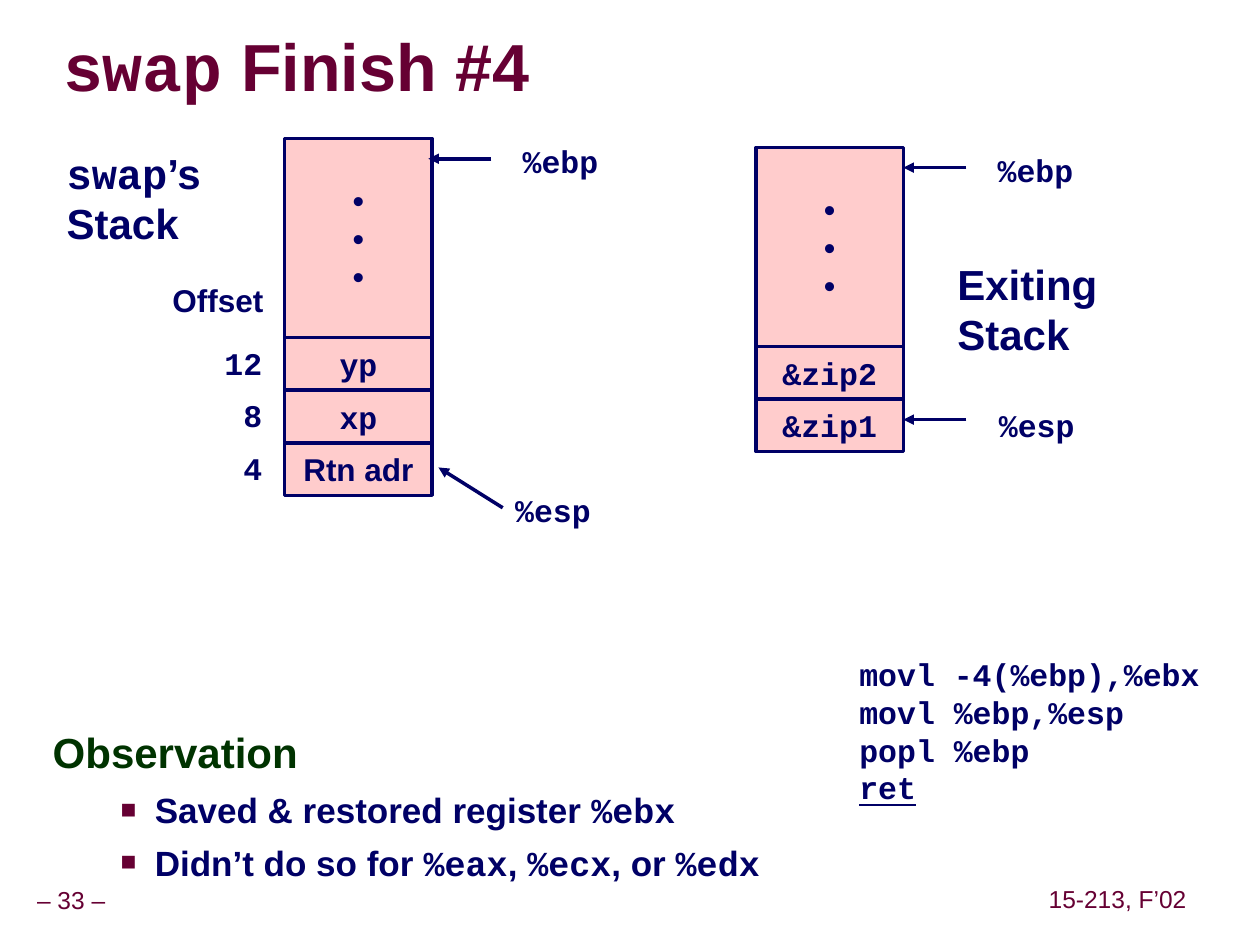
from lxml.etree import SubElement
from pptx import Presentation
from pptx.dml.color import RGBColor
from pptx.enum.shapes import MSO_CONNECTOR, MSO_SHAPE
from pptx.enum.text import MSO_ANCHOR, MSO_AUTO_SIZE, PP_ALIGN
from pptx.oxml import parse_xml
from pptx.oxml.ns import nsdecls, qn
from pptx.util import Inches, Pt

SANS, MONO = "Arial", "Courier New"
NAVY, MAROON, GREEN, PINK = "000066", "660033", "003300", "FFCCCC"
LEFT, CENTER, RIGHT = PP_ALIGN.LEFT, PP_ALIGN.CENTER, PP_ALIGN.RIGHT

presentation = Presentation()
presentation.slide_width = Inches(10)
presentation.slide_height = Inches(7.5)
slide = presentation.slides.add_slide(presentation.slide_layouts[6])
column = presentation.slide_width / 100
row = presentation.slide_height / 75


def add_text(place, lines, size, color=NAVY, align=LEFT, wrap=False, bold=True, box=False):
    left, top, width, height = place
    area = [int(left * column), int(top * row), int(width * column), int(height * row)]
    if box:
        shape = slide.shapes.add_shape(MSO_SHAPE.RECTANGLE, *area)
        shape.shadow.inherit = False
        shape.fill.solid()
        shape.fill.fore_color.rgb = RGBColor.from_string(PINK)
        shape.line.color.rgb = RGBColor.from_string(NAVY)
        shape.line.width = Pt(2)
    else:
        shape = slide.shapes.add_textbox(*area)
    frame = shape.text_frame
    frame.word_wrap = wrap
    frame.auto_size = MSO_AUTO_SIZE.NONE
    frame.vertical_anchor = MSO_ANCHOR.MIDDLE if box else MSO_ANCHOR.TOP
    for index, line in enumerate(lines):
        paragraph = frame.paragraphs[0] if index == 0 else frame.add_paragraph()
        paragraph.alignment = align
        for text, font_name in line:
            run = paragraph.add_run()
            run.text = text
            run.font.name = font_name
            run.font.size = Pt(size)
            run.font.bold = bold
            run.font.color.rgb = RGBColor.from_string(color)
    return frame


def add_arrow(start_x, start_y, end_x, end_y):
    connector = slide.shapes.add_connector(
        MSO_CONNECTOR.STRAIGHT,
        int(start_x * column), int(start_y * row), int(end_x * column), int(end_y * row),
    )
    connector.line.color.rgb = RGBColor.from_string(NAVY)
    connector.line.width = Pt(2)
    SubElement(connector.line._get_or_add_ln(), qn("a:tailEnd"), type="triangle")
    SubElement(connector._element.spPr, qn("a:effectLst"))


for place, text in [((-0.9, 70, 13.1, 3.1), "– 33 –"), ((82.7, 69.9, 12, 3.1), "15-213, F’02")]:
    footer = add_text(place, [[(text, SANS)]], 14, MAROON, CENTER, bold=False)
    footer.vertical_anchor = MSO_ANCHOR.MIDDLE
    footer.margin_left = footer.margin_right = Inches(0.05)
    footer.paragraphs[0].line_spacing = 0.9

title = add_text((5, 2.5, 63.2, 6.3), [[("swap", MONO), (" Finish #4", SANS)]], 38, MAROON, wrap=True)
title.vertical_anchor = MSO_ANCHOR.MIDDLE
title.margin_left = title.margin_right = title.margin_top = title.margin_bottom = 0
title.paragraphs[0].line_spacing = 0.87
for run in title.paragraphs[0].runs:
    run.font.fill._xPr.find(qn("a:solidFill")).addnext(parse_xml(
        f'<a:effectLst {nsdecls("a")}><a:outerShdw dist="35921" dir="2700000">'
        '<a:srgbClr val="808080"/></a:outerShdw></a:effectLst>'
    ))

instructions = ["movl -4(%ebp),%ebx", "movl %ebp,%esp", "popl %ebp", "ret"]
code = add_text((62.2, 51.5, 34.2, 13), [[(text, MONO)] for text in instructions], 18, wrap=True)
code.margin_left = Inches(0.6)
code.paragraphs[-1].runs[0].font.underline = True

cell_width, cell_height, dots_height = 11.7, 4.17, 15.8
stacks = [
    (22.6, 11, [("yp", MONO), ("xp", MONO), ("Rtn adr", SANS)]),
    (60, 11.7, [("&zip2", MONO), ("&zip1", MONO)]),
]
for left, top, cells in stacks:
    for index, cell in enumerate(cells):
        cell_top = top + dots_height + index * cell_height
        add_text((left, cell_top, cell_width, cell_height), [[cell]], 18, align=CENTER, box=True)
    add_text((left, top, cell_width, dots_height), [[("•", SANS)]] * 3, 18, align=CENTER, box=True)

for index, offset in enumerate(["12", "8", "4"]):
    add_text((16.8, 26.8 + index * cell_height, 5, 4), [[(offset, MONO)]], 18, align=RIGHT)
add_text((12.7, 21.8, 9.2, 4), [[("Offset", SANS)]], 18)

registers = [(40.5, 10.8, "%ebp"), (39.9, 38.5, "%esp"), (78.2, 11.5, "%ebp"), (78.3, 31.7, "%esp")]
for left, top, register in registers:
    add_text((left, top, 8, 4), [[(register, MONO)]], 18)

for ends in [(39, 12.6, 34, 12.6), (39.9, 40.3, 34.8, 37.1), (76.7, 13.3, 71.7, 13.3), (76.7, 33.3, 71.7, 33.3)]:
    add_arrow(*ends)

add_text((4.3, 11.2, 12.8, 9), [[("swap", MONO), ("’s", SANS)], [("Stack", SANS)]], 24)
add_text((75, 20, 13.1, 9), [[("Exiting", SANS)], [("Stack", SANS)]], 24)

observation = add_text(
    (3.2, 57.8, 90.9, 12.7),
    [
        [("Observation", SANS)],
        [("Saved & restored register ", SANS), ("%ebx", MONO)],
        [("Didn’t do so for ", SANS), ("%eax", MONO), (", ", SANS), ("%ecx", MONO),
         (", or ", SANS), ("%edx", MONO)],
    ],
    20, wrap=True,
)
heading, *bullets = observation.paragraphs
heading.line_spacing = 0.85
heading.runs[0].font.size = Pt(24)
heading.runs[0].font.color.rgb = RGBColor.from_string(GREEN)
for paragraph in bullets:
    paragraph.level = 1
    properties = paragraph._p.get_or_add_pPr()
    properties.set("marL", str(Inches(0.81)))
    properties.set("indent", str(Inches(-0.27)))
    bullet_color = SubElement(properties, qn("a:buClr"))
    SubElement(bullet_color, qn("a:srgbClr"), val=MAROON)
    SubElement(properties, qn("a:buSzPct"), val="75000")
    SubElement(properties, qn("a:buFont"), typeface=SANS)
    SubElement(properties, qn("a:buChar"), char="■")
    paragraph.space_before = Pt(6.2)

presentation.save("out.pptx")
